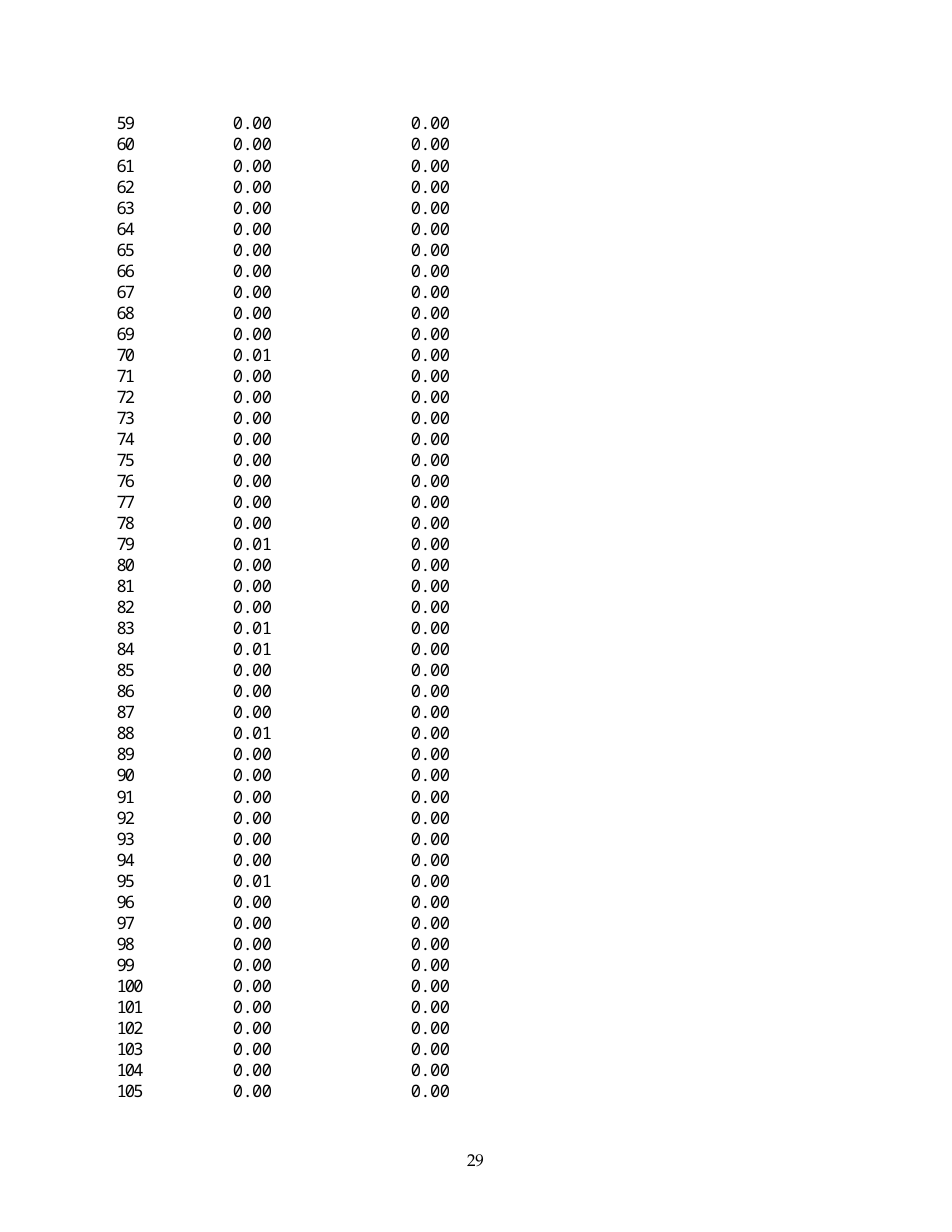
from pptx import Presentation
from pptx.dml.color import RGBColor
from pptx.enum.text import MSO_AUTO_SIZE, PP_ALIGN
from pptx.util import Pt

LEFT, RIGHT = PP_ALIGN.LEFT, PP_ALIGN.RIGHT
FIT_SHAPE = MSO_AUTO_SIZE.SHAPE_TO_FIT_TEXT
COLORS = {"text": "000000"}
TABLE_FONT = "Noto Sans Mono"
PAGE_FONT = "TeX Gyre Pagella"
FIRST_INDEX, LAST_INDEX = 59, 105
NONZERO_INDEXES = {70, 79, 83, 84, 88, 95}
COLUMN_WIDTHS = [48.2, 97.2, 71.3]
COLUMN_FORMATS = [(LEFT, 2.2, -1.2), (LEFT, 28.8, -0.4), (RIGHT, 0, -0.4)]
FIRST_HEIGHT, ROW_HEIGHT, LAST_HEIGHT = 14.3, 13.53, 14.7


def write_text(paragraph, text, font_name, indent, spacing):
    paragraph._p.get_or_add_pPr().set("marL", str(Pt(indent)))
    run = paragraph.add_run()
    run.text = text
    run.font.name = font_name
    run.font.size = Pt(11)
    run.font.color.rgb = RGBColor.from_string(COLORS["text"])
    run._r.get_or_add_rPr().set("spc", str(round(spacing * 100)))


presentation = Presentation()
presentation.slide_width = Pt(612)
presentation.slide_height = Pt(792)
slide = presentation.slides.add_slide(presentation.slide_layouts[6])

page_number = slide.shapes.add_textbox(Pt(297.4), Pt(736.6), Pt(17.3), Pt(17.3))
frame = page_number.text_frame
frame.margin_left = frame.margin_right = frame.margin_bottom = 0
frame.margin_top = Pt(2.2)
frame.word_wrap = True
frame.auto_size = FIT_SHAPE
write_text(frame.paragraphs[0], "29", PAGE_FONT, 2.9, -0.1)

indexes = range(FIRST_INDEX, LAST_INDEX + 1)
row_heights = [FIRST_HEIGHT] + [ROW_HEIGHT] * (len(indexes) - 2) + [LAST_HEIGHT]
table = slide.shapes.add_table(
    len(indexes), len(COLUMN_WIDTHS), Pt(72.7), Pt(73.4),
    Pt(sum(COLUMN_WIDTHS)), Pt(sum(row_heights))).table
table.first_row = False
table.horz_banding = False
for column, width in zip(table.columns, COLUMN_WIDTHS):
    column.width = Pt(width)

line_heights = {FIRST_INDEX: 12.9, LAST_INDEX: 12.8}
for index, row, height in zip(indexes, table.rows, row_heights):
    row.height = Pt(height)
    values = [str(index), "0.01" if index in NONZERO_INDEXES else "0.00", "0.00"]
    for cell, value, (alignment, indent, spacing) in zip(row.cells, values, COLUMN_FORMATS):
        cell.fill.background()
        cell.margin_left = cell.margin_right = cell.margin_top = cell.margin_bottom = 0
        paragraph = cell.text_frame.paragraphs[0]
        paragraph.alignment = alignment
        paragraph.line_spacing = Pt(line_heights.get(index, 12.6))
        write_text(paragraph, value, TABLE_FONT, indent, spacing)

presentation.save("out.pptx")
